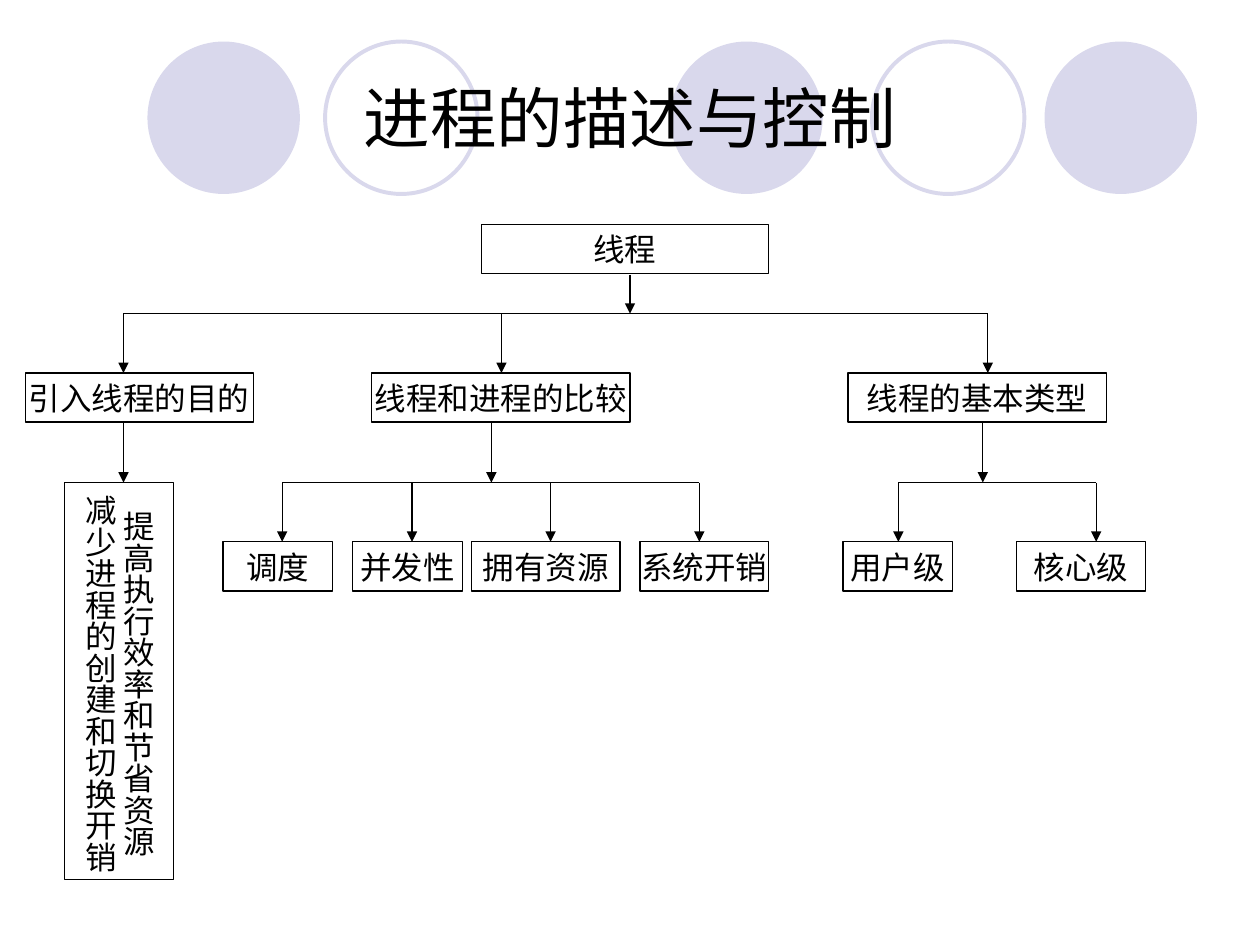
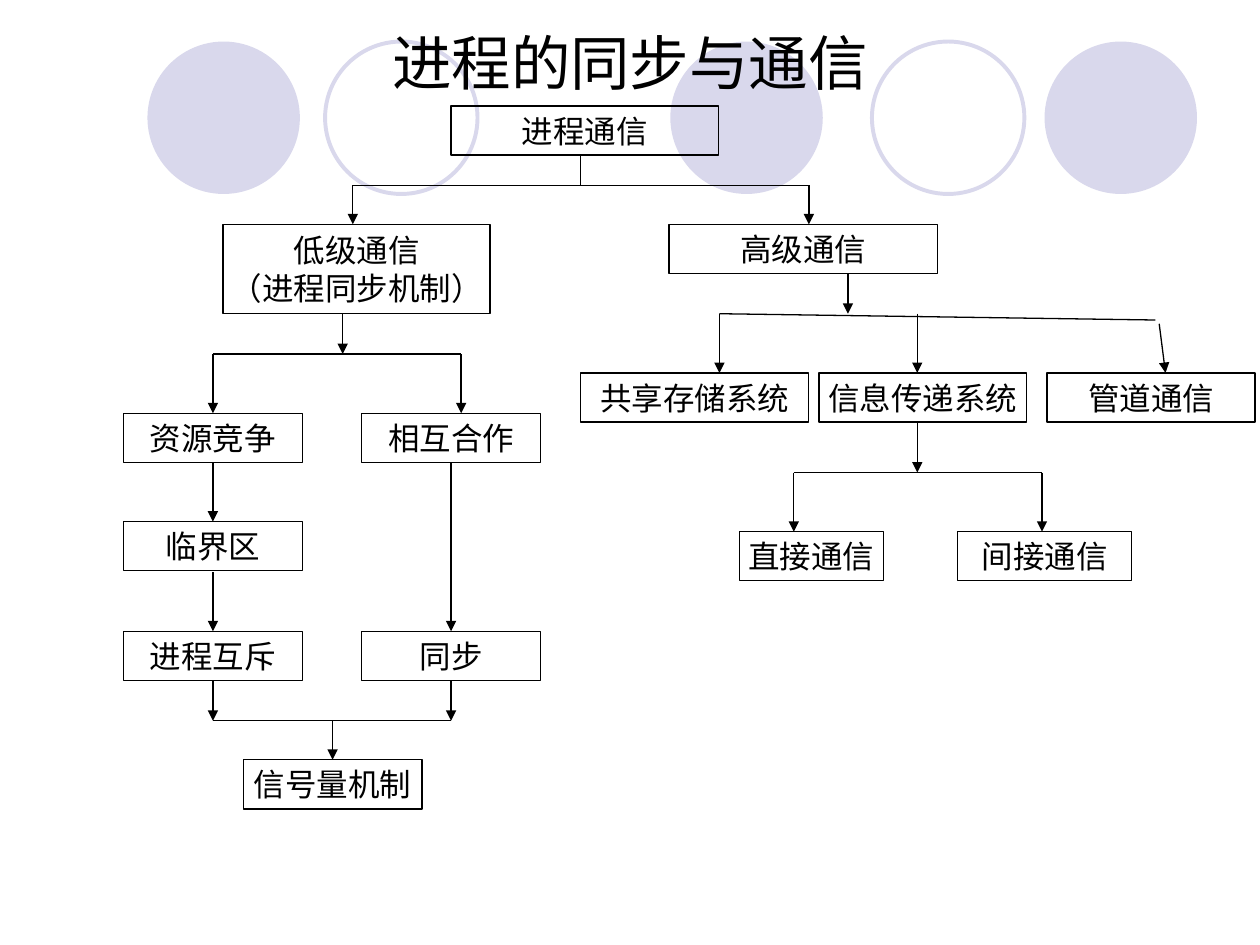
from dataclasses import dataclass

from lxml.etree import SubElement
from pptx import Presentation
from pptx.dml.color import RGBColor
from pptx.enum.shapes import MSO_CONNECTOR as Connector, MSO_SHAPE as Preset
from pptx.enum.text import MSO_ANCHOR as Anchor, PP_ALIGN as Align
from pptx.oxml.ns import qn
from pptx.shapes.autoshape import Shape
from pptx.slide import Slide
from pptx.text.text import TextFrame
from pptx.util import Inches, Pt

COLORS = {"ink": "000000", "lavender": "D9D8EC"}
FONT = "Arial"
NODE_SIZE = 18
NODE_HEIGHT = 0.39
LINE_WIDTH = 0.75
CIRCLE_SIZE = 1.21
CIRCLE_TOP = 0.33
SOLID_CIRCLES = (5.32, 8.29, 1.17)
RING_CIRCLES = (6.92, 2.58)


@dataclass(frozen=True)
class Node:
    text: str
    left: float
    top: float
    width: float
    height: float = NODE_HEIGHT
    vertical: bool = False


@dataclass(frozen=True)
class Link:
    x1: float
    y1: float
    x2: float
    y2: float
    arrow: bool = True


@dataclass(frozen=True)
class Branch:
    stem_x: float
    stem_top: float
    bus_y: float
    drops: tuple[float, ...]
    drop_end: float
    stem_arrow: bool = True

    def links(self) -> list[Link]:
        stem = Link(self.stem_x, self.stem_top, self.stem_x, self.bus_y, self.stem_arrow)
        bus = Link(self.drops[0], self.bus_y, self.drops[-1], self.bus_y, False)
        return [stem, bus] + [Link(x, self.bus_y, x, self.drop_end) for x in self.drops]


@dataclass(frozen=True)
class Diagram:
    title: str
    title_size: int
    title_height: float
    nodes: tuple[Node, ...]
    branches: tuple[Branch, ...]
    links: tuple[Link, ...]


THREADS = Diagram(
    "进程的描述与控制", 38, 1.25,
    nodes=(
        Node("线程", 3.82, 1.78, 2.28),
        Node("引入线程的目的", 0.2, 2.96, 1.81),
        Node("线程和进程的比较", 2.95, 2.96, 2.05),
        Node("线程的基本类型", 6.73, 2.96, 2.05),
        Node("提高执行效率和节省资源\n减少进程的创建和切换开销", 0.51, 3.83, 0.87, 3.15, True),
        Node("调度", 1.77, 4.3, 0.87),
        Node("并发性", 2.8, 4.3, 0.87),
        Node("拥有资源", 3.74, 4.3, 1.18),
        Node("系统开销", 5.08, 4.3, 1.02),
        Node("用户级", 6.69, 4.3, 0.87),
        Node("核心级", 8.07, 4.3, 1.02),
    ),
    branches=(
        Branch(5, 2.18, 2.49, (0.98, 3.98, 7.84), 2.96),
        Branch(3.9, 3.36, 3.83, (2.24, 3.27, 4.37, 5.55), 4.3),
        Branch(7.8, 3.36, 3.83, (7.13, 8.7), 4.3),
    ),
    links=(Link(0.98, 3.36, 0.98, 3.83),),
)

COMMUNICATION = Diagram(
    "进程的同步与通信", 34, 0.38,
    nodes=(
        Node("进程通信", 3.58, 0.84, 2.12),
        Node("低级通信\n（进程同步机制）", 1.77, 1.78, 2.12, 0.71),
        Node("高级通信", 5.31, 1.78, 2.13),
        Node("资源竞争", 0.98, 3.28, 1.42),
        Node("相互合作", 2.87, 3.28, 1.42),
        Node("临界区", 0.98, 4.14, 1.42),
        Node("进程互斥", 0.98, 5.01, 1.42),
        Node("同步", 2.87, 5.01, 1.42),
        Node("信号量机制", 1.93, 6.03, 1.42),
        Node("共享存储系统", 4.61, 2.96, 1.81),
        Node("信息传递系统", 6.5, 2.96, 1.65),
        Node("管道通信", 8.31, 2.96, 1.65),
        Node("直接通信", 5.87, 4.22, 1.14),
        Node("间接通信", 7.6, 4.22, 1.38),
    ),
    branches=(
        Branch(4.61, 1.23, 1.47, (2.8, 6.42), 1.78, stem_arrow=False),
        Branch(2.72, 2.49, 2.81, (1.69, 3.66), 3.28),
        Branch(7.28, 3.36, 3.75, (6.3, 8.27), 4.22),
    ),
    links=(
        Link(1.69, 3.67, 1.69, 4.14),
        Link(1.69, 4.54, 1.69, 5.01),
        Link(3.58, 3.67, 3.58, 5.01),
        Link(1.69, 5.4, 1.69, 5.72),
        Link(3.58, 5.4, 3.58, 5.72),
        Link(1.69, 5.72, 3.58, 5.72, False),
        Link(2.64, 5.72, 2.64, 6.03),
        Link(6.73, 2.17, 6.73, 2.49),
        Link(5.71, 2.49, 9.17, 2.54, False),
        Link(5.71, 2.49, 5.71, 2.96),
        Link(7.28, 2.49, 7.28, 2.96),
        Link(9.2, 2.57, 9.25, 2.96),
    ),
)


def color(name: str) -> RGBColor:
    return RGBColor.from_string(COLORS[name])


def add_outline(slide: Slide, preset: Preset, left: float, top: float, width: float,
                height: float, line_color: str, line_width: float) -> Shape:
    shape = slide.shapes.add_shape(
        preset, Inches(left), Inches(top), Inches(width), Inches(height))
    shape.shadow.inherit = False
    shape.fill.background()
    shape.line.color.rgb = color(line_color)
    shape.line.width = Pt(line_width)
    return shape


def write_text(frame: TextFrame, text: str, size: int) -> None:
    frame.text = text
    frame.vertical_anchor = Anchor.MIDDLE
    for para in frame.paragraphs:
        para.alignment = Align.CENTER
        for span in para.runs:
            span.font.name = FONT
            span.font.size = Pt(size)
            span.font.color.rgb = color("ink")


def draw_circles(slide: Slide) -> None:
    for left in SOLID_CIRCLES + RING_CIRCLES:
        circle = add_outline(slide, Preset.OVAL, left, CIRCLE_TOP, CIRCLE_SIZE,
                             CIRCLE_SIZE, "lavender", 2.25)
        if left in SOLID_CIRCLES:
            circle.fill.solid()
            circle.fill.fore_color.rgb = color("lavender")
            circle.line.fill.background()


def draw_title(slide: Slide, diagram: Diagram) -> None:
    box = slide.shapes.add_textbox(
        Inches(0.5), Inches(0.3), Inches(9), Inches(diagram.title_height))
    box.text_frame.word_wrap = True
    write_text(box.text_frame, diagram.title, diagram.title_size)


def draw_node(slide: Slide, node: Node) -> None:
    box = add_outline(slide, Preset.RECTANGLE, node.left, node.top, node.width,
                      node.height, "ink", LINE_WIDTH)
    frame = box.text_frame
    frame.word_wrap = False
    write_text(frame, node.text, NODE_SIZE)
    if node.vertical:
        box.element.txBody.bodyPr.set("vert", "eaVert")
        frame.margin_left = frame.margin_right = Inches(0.05)
        frame.margin_top = frame.margin_bottom = Inches(0.1)


def draw_link(slide: Slide, link: Link) -> None:
    connector = slide.shapes.add_connector(
        Connector.STRAIGHT, Inches(link.x1), Inches(link.y1),
        Inches(link.x2), Inches(link.y2))
    connector.line.color.rgb = color("ink")
    connector.line.width = Pt(LINE_WIDTH)
    properties = connector.element.spPr
    if link.arrow:
        SubElement(properties.find(qn("a:ln")), qn("a:tailEnd"), type="triangle")
    SubElement(properties, qn("a:effectLst"))


def draw_diagram(slide: Slide, diagram: Diagram) -> None:
    draw_circles(slide)
    draw_title(slide, diagram)
    for node in diagram.nodes:
        draw_node(slide, node)
    for branch in diagram.branches:
        for link in branch.links():
            draw_link(slide, link)
    for link in diagram.links:
        draw_link(slide, link)


def main() -> None:
    deck = Presentation()
    deck.slide_width = Inches(10)
    deck.slide_height = Inches(7.5)
    blank_layout = deck.slide_layouts[6]
    for diagram in (THREADS, COMMUNICATION):
        draw_diagram(deck.slides.add_slide(blank_layout), diagram)
    deck.save("out.pptx")


if __name__ == "__main__":
    main()
